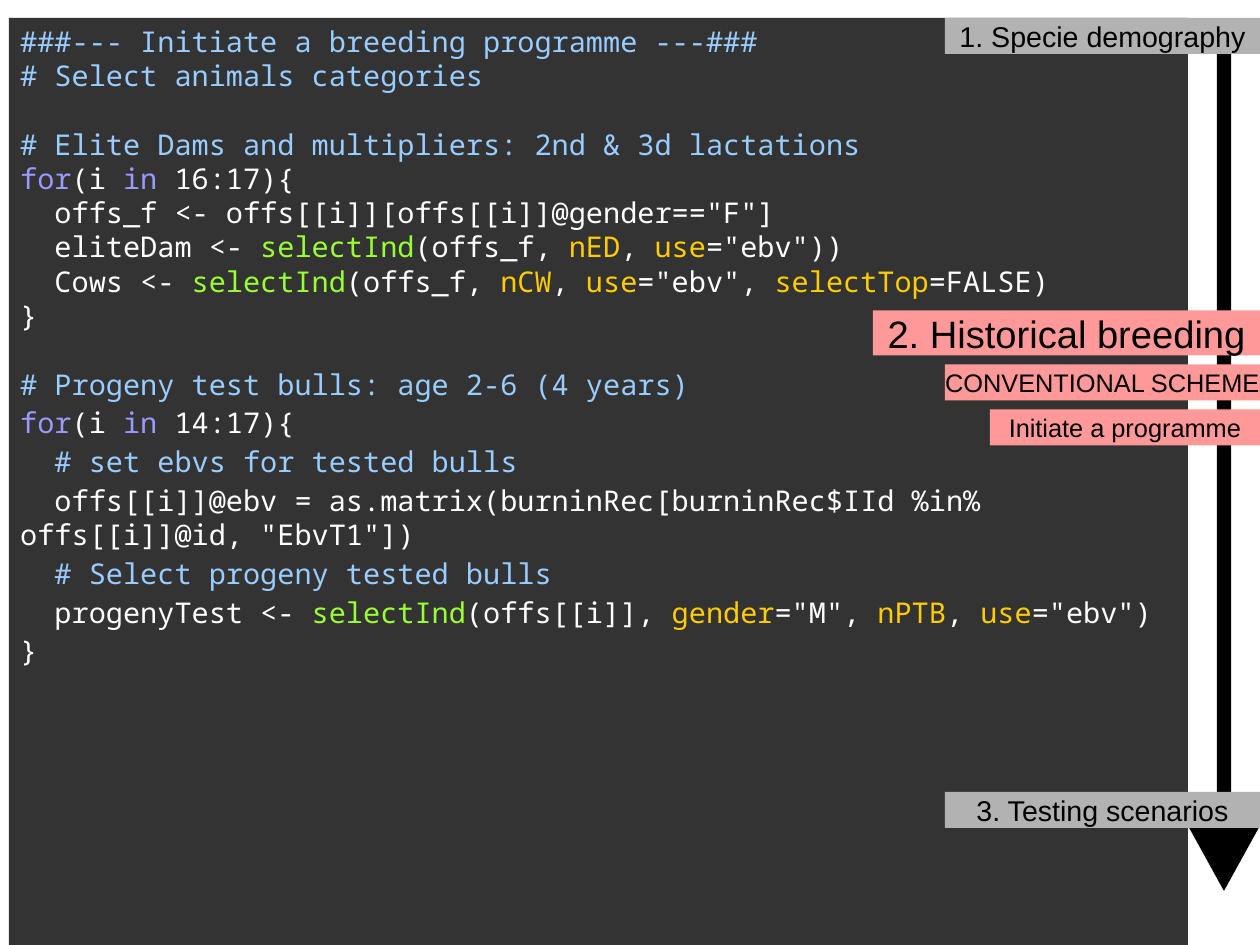
from pptx import Presentation
from pptx import util as u
from pptx.dml import color
from pptx.enum import shapes, text

COLUMNS, ROWS = 28, 21
LINE_HEIGHT = 21.6
COMMENT, KEYWORD, PLAIN = "99CCFF", "9999FF", "FFFFFF"
FUNCTION, ARGUMENT = "99FF33", "FFCC00"


def rgb(value):
    return color.RGBColor.from_string(value)


class BreedingSlide:
    code_font = "Noto Sans Mono"
    label_font = "Arial"

    def __init__(self, presentation):
        self.slide = presentation.slides.add_slide(presentation.slide_layouts[6])
        self.column = presentation.slide_width / COLUMNS
        self.row = presentation.slide_height / ROWS

    def place(self, column, row):
        return round(column * self.column), round(row * self.row)

    def paint(self, shape, fill):
        shape.shadow.inherit = False
        shape.fill.solid()
        shape.fill.fore_color.rgb = rgb(fill)
        shape.line.fill.background()

    def box(self, left, top, width, height, fill):
        shape = self.slide.shapes.add_shape(
            shapes.MSO_SHAPE.RECTANGLE, *self.place(left, top), *self.place(width, height))
        self.paint(shape, fill)
        return shape

    def run(self, paragraph, content, font, size, fill):
        run = paragraph.add_run()
        run.text = content
        run.font.name = font
        run.font.size = u.Pt(size)
        run.font.color.rgb = rgb(fill)

    def label(self, content, left, top, width, height, fill, size):
        frame = self.box(left, top, width, height, fill).text_frame
        frame.word_wrap = False
        frame.vertical_anchor = text.MSO_ANCHOR.MIDDLE
        paragraph = frame.paragraphs[0]
        paragraph.alignment = text.PP_ALIGN.CENTER
        self.run(paragraph, content, self.label_font, size, "000000")

    def code(self, blocks, left, top, width, height):
        frame = self.box(left, top, width, height, "333333").text_frame
        frame.word_wrap = True
        frame.vertical_anchor = text.MSO_ANCHOR.TOP
        paragraph = frame.paragraphs[0]
        for block_index, (gap, lines) in enumerate(blocks):
            for line_index, (indent, runs) in enumerate(lines):
                if block_index or line_index:
                    paragraph = frame.add_paragraph()
                paragraph.alignment = text.PP_ALIGN.LEFT
                starts_block = block_index > 0 and line_index == 0
                paragraph.space_before = u.Pt(LINE_HEIGHT if starts_block else 0)
                paragraph.space_after = u.Pt(gap)
                properties = paragraph._p.get_or_add_pPr()
                properties.set("marL", "0")
                properties.set("indent", str(u.Pt(10.8 * indent)))
                for content, fill in runs:
                    self.run(paragraph, content, self.code_font, 18, fill)

    def down_arrow(self, center, half_shaft, half_head, top, neck, tip):
        right_side = [(half_shaft, top), (half_shaft, neck), (half_head, neck), (0, tip)]
        left_side = [(-offset, row) for offset, row in reversed(right_side[:-1])]
        points = [self.place(center + offset, row) for offset, row in right_side + left_side]
        builder = self.slide.shapes.build_freeform(*points[0])
        builder.add_line_segments(points[1:], close=True)
        self.paint(builder.convert_to_shape(), "000000")


def loop_header(ages):
    return 0, [("for", KEYWORD), ("(i ", PLAIN), ("in", KEYWORD), (f" {ages}){{", PLAIN)]


def comment(content, indent=0):
    return indent, [(content, COMMENT)]


def statement(*runs):
    return 2, runs


def main():
    presentation = Presentation()
    presentation.slide_width, presentation.slide_height = u.Cm(COLUMNS), u.Cm(ROWS)
    page = BreedingSlide(presentation)

    select = ("selectInd", FUNCTION)
    use = ("use", ARGUMENT)
    comma = (", ", PLAIN)
    closing = (0, [("}", PLAIN)])

    heading = [
        comment("###--- Initiate a breeding programme ---###"),
        comment("# Select animals categories"),
    ]
    dams = [
        comment("# Elite Dams and multipliers: 2nd & 3d lactations"),
        loop_header("16:17"),
        statement(('offs_f <- offs[[i]][offs[[i]]@gender=="F"]', PLAIN)),
        statement(("eliteDam <- ", PLAIN), select, ("(offs_f, ", PLAIN),
                  ("nED", ARGUMENT), comma, use, ('="ebv"))', PLAIN)),
        statement(("Cows <- ", PLAIN), select, ("(offs_f, ", PLAIN),
                  ("nCW", ARGUMENT), comma, use, ('="ebv", ', PLAIN),
                  ("selectTop", ARGUMENT), ("=FALSE)", PLAIN)),
        closing,
    ]
    bulls = [
        comment("# Progeny test bulls: age 2-6 (4 years)"),
        loop_header("14:17"),
        comment("# set ebvs for tested bulls", 2),
        statement(("offs[[i]]@ebv = as.matrix(burninRec[burninRec$IId %in% "
                   'offs[[i]]@id, "EbvT1"])', PLAIN)),
        comment("# Select progeny tested bulls", 2),
        statement(("progenyTest <- ", PLAIN), select, ("(offs[[i]], ", PLAIN),
                  ("gender", ARGUMENT), ('="M", ', PLAIN), ("nPTB", ARGUMENT),
                  comma, use, ('="ebv")', PLAIN)),
        closing,
    ]
    page.code([(0, heading), (0, dams), (2.8, bulls)], 0.2, 0.4, 26.2, 26.37)
    page.down_arrow(27.2, 0.16, 0.8, 1.2, 18.35, 19.8)

    gray, pink = "B2B2B2", "FF9999"
    for step in [
        ("1. Specie demography", 21, 0.4, 7, 0.8, gray, 18),
        ("3. Testing scenarios", 21, 17.6, 7, 0.8, gray, 18),
        ("2. Historical breeding", 19.4, 6.9, 8.6, 1, pink, 24),
        ("CONVENTIONAL SCHEME", 21, 8.1, 7, 0.8, pink, 16),
        ("Initiate a programme", 22, 9.1, 6, 0.8, pink, 16),
    ]:
        page.label(*step)

    presentation.save("out.pptx")


if __name__ == "__main__":
    main()
